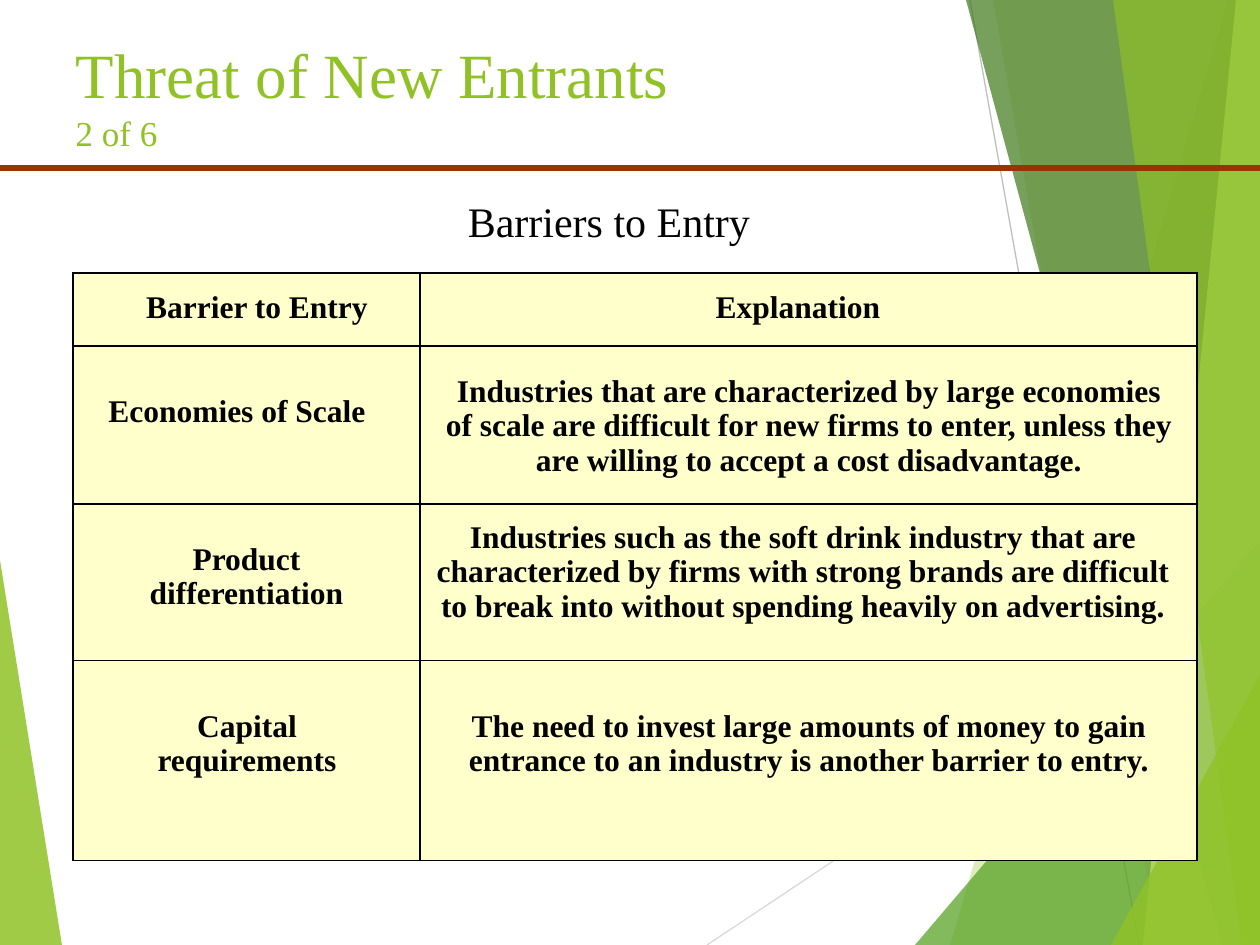
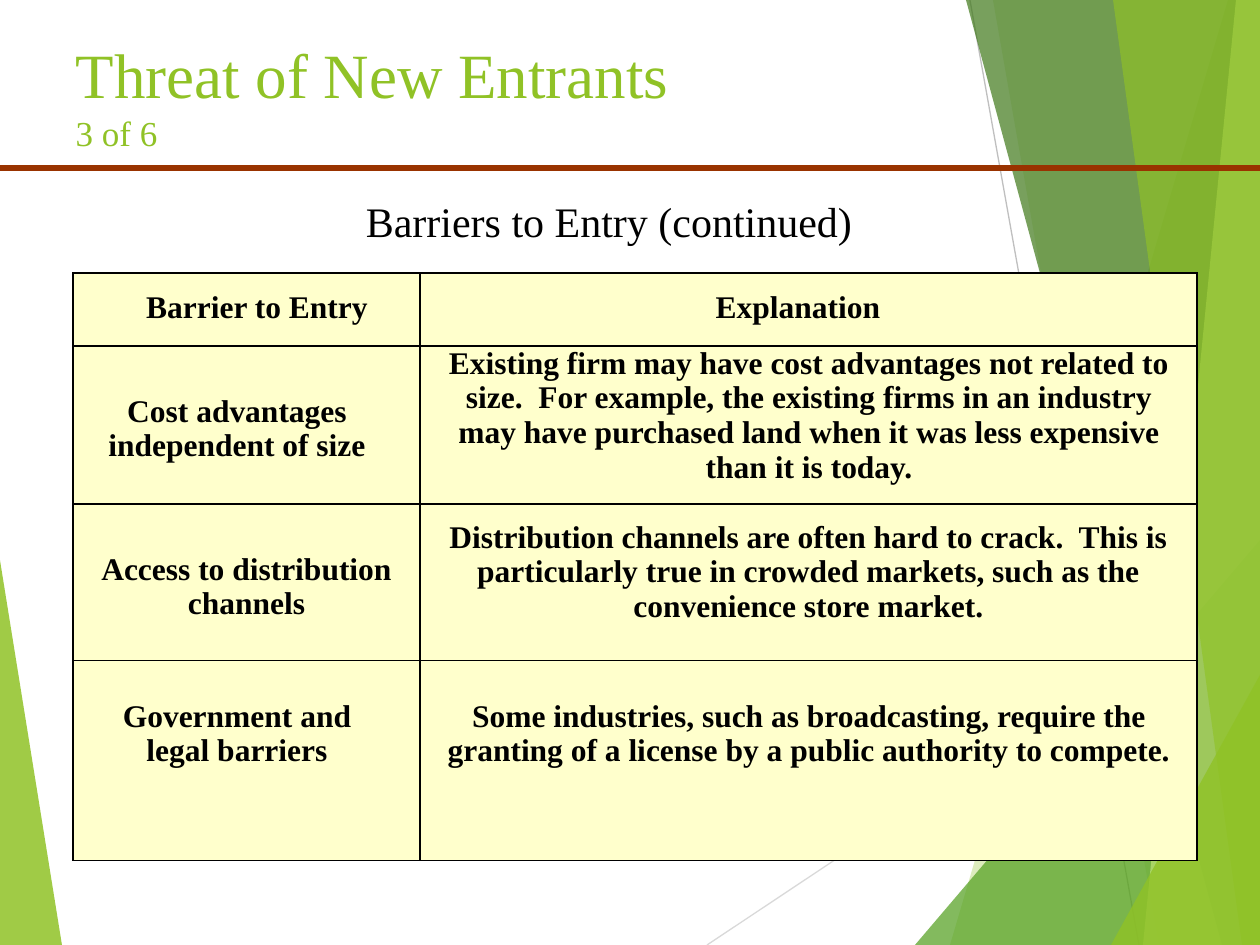
"""Build two slides on barriers to entry, with a shared faceted layout."""
from dataclasses import dataclass

from lxml import etree
from pptx import Presentation
from pptx import util as u
from pptx.dml.color import RGBColor
from pptx.enum import shapes, text
from pptx.oxml import ns

PX = u.Inches(1) / 126
WIDTH, HEIGHT = 1260, 945
FONT = "Times New Roman"
COLORS = {
    "green": "90C226", "leaf": "54A021", "forest": "3F7819", "lime": "C0E474",
    "pale": "D9D9D9", "gray": "BFBFBF", "rust": "993300",
    "cream": "FFFFCC", "black": "000000",
}
COLUMN_EDGES = (73, 420, 1197)
ROW_EDGES = (273, 346, 504, 661, 861)
INSET_X, INSET_Y = 13, 6


@dataclass(frozen=True)
class Rule:
    start: tuple[int, int]
    end: tuple[int, int]
    color: str
    points: float = 0.75


@dataclass(frozen=True)
class Facet:
    corners: tuple[tuple[int, int], ...]
    color: str
    opacity: int


@dataclass(frozen=True)
class Entry:
    words: str
    left: int
    top: int
    width: int


@dataclass(frozen=True)
class BarrierSlide:
    count: str
    heading: str
    rows: tuple[tuple[Entry, Entry], ...]


def band(top_x: int, bottom_x: int, color: str, opacity: int) -> Facet:
    """Return a full-height facet that reaches the right edge."""
    corners = ((top_x, 0), (bottom_x, HEIGHT), (WIDTH, HEIGHT), (WIDTH, 0))
    return Facet(corners, color, opacity)


def wedge(left: int, top: int, color: str, opacity: int) -> Facet:
    """Return a triangular facet in the lower right corner."""
    return Facet(((left, HEIGHT), (WIDTH, top), (WIDTH, HEIGHT)), color, opacity)


BACKDROP = (
    Facet(((0, 560), (62, HEIGHT), (0, HEIGHT)), "green", 85),
    Rule((707, HEIGHT), (WIDTH, 577), "pale"),
    Rule((970, 0), (1139, HEIGHT), "gray"),
    band(1228, 950, "green", 30),
    band(993, 1159, "green", 20),
    wedge(915, 540, "leaf", 72),
    band(966, 1222, "forest", 70),
    band(1236, 1143, "lime", 70),
    band(1113, 1242, "green", 65),
    wedge(1111, 675, "green", 80),
)
TITLE_RULE = Rule((0, 168), (WIDTH, 168), "rust", 3)
HEADER = (Entry("Barrier to Entry", 73, 284, 368), Entry("Explanation", 462, 284, 672))

SLIDES = (
    BarrierSlide("2 of 6", "Barriers to Entry", (
        (Entry("Economies of Scale", 53, 388, 368),
         Entry("Industries that are characterized by large economies of scale are "
               "difficult for new firms to enter, unless they are willing to accept "
               "a cost disadvantage.", 431, 368, 756)),
        (Entry("Product differentiation", 84, 536, 325),
         Entry("Industries such as the soft drink industry that are characterized by "
               "firms with strong brands are difficult to break into without spending "
               "heavily on advertising.", 420, 514, 766)),
        (Entry("Capital requirements", 105, 703, 284),
         Entry("The need to invest large amounts of money to gain entrance to an "
               "industry is another barrier to entry.", 431, 703, 756)),
    )),
    BarrierSlide("3 of 6", "Barriers to Entry (continued)", (
        (Entry("Cost advantages independent of size", 53, 388, 368),
         Entry("Existing firm may have cost advantages not related to size.  For "
               "example, the existing firms in an industry may have purchased land "
               "when it was less expensive than it is today.", 431, 336, 756)),
        (Entry("Access to distribution channels", 84, 546, 325),
         Entry("Distribution channels are often hard to crack.  This is particularly "
               "true in crowded markets, such as the convenience store market.",
               420, 514, 777)),
        (Entry("Government and legal barriers", 95, 693, 284),
         Entry("Some industries, such as broadcasting, require the granting of a "
               "license by a public authority to compete.", 431, 693, 756)),
    )),
)


def px(length: float) -> u.Emu:
    """Turn pixels into EMU."""
    return u.Emu(round(length * PX))


def rgb(name: str) -> RGBColor:
    """Look up a named colour."""
    return RGBColor.from_string(COLORS[name])


def style_font(font, size: int, color: str, bold: bool = False) -> None:
    """Set the face, size, colour and weight of a font."""
    font.name, font.size, font.bold = FONT, u.Pt(size), bold
    font.color.rgb = rgb(color)


def draw_rule(parent, rule: Rule) -> None:
    """Draw a straight line without a shadow."""
    line = parent.add_connector(shapes.MSO_CONNECTOR.STRAIGHT,
                                *map(px, rule.start + rule.end))
    line.line.color.rgb = rgb(rule.color)
    line.line.width = u.Pt(rule.points)
    etree.SubElement(line.element.spPr, ns.qn("a:effectLst"))


def draw_facet(parent, facet: Facet) -> None:
    """Draw a translucent polygon."""
    builder = parent.build_freeform(*facet.corners[0], scale=PX)
    builder.add_line_segments(facet.corners[1:], close=True)
    shape = builder.convert_to_shape()
    shape.shadow.inherit = False
    shape.fill.solid()
    shape.fill.fore_color.rgb = rgb(facet.color)
    shape.line.fill.background()
    color = shape.element.xpath("./p:spPr/a:solidFill/a:srgbClr")[0]
    etree.SubElement(color, ns.qn("a:alpha"), val=str(facet.opacity * 1000))


def add_backdrop(page, layout) -> None:
    """Assemble the backdrop as a group and hand it to the layout."""
    group = page.shapes.add_group_shape()
    for piece in BACKDROP:
        draw = draw_facet if isinstance(piece, Facet) else draw_rule
        draw(group.shapes, piece)
    for number, properties in enumerate(group.element.xpath(".//p:cNvPr"), 100):
        properties.set("id", str(number))
    layout.shapes.element.append(group.element)


def write_title(page, count: str) -> None:
    """Place and format the title with its slide count."""
    title = page.shapes.title
    title.left, title.top, title.width, title.height = map(px, (63, 21, 1134, 158))
    frame = title.text_frame
    frame.auto_size = text.MSO_AUTO_SIZE.NONE
    frame.vertical_anchor = text.MSO_ANCHOR.TOP
    frame.margin_top = px(15)
    para = frame.paragraphs[0]
    para.alignment = text.PP_ALIGN.LEFT
    span = para.add_run()
    span.text = "Threat of New Entrants"
    style_font(span.font, 36, "green")
    para.add_line_break()
    span = para.add_run()
    span.text = count
    style_font(span.font, 20, "green")


def write_heading(page, words: str) -> None:
    """Write the centred heading above the table."""
    box = page.shapes.add_textbox(*map(px, (273, 189, 672, 63)))
    box.text_frame.word_wrap = True
    para = box.text_frame.paragraphs[0]
    para.text = words
    para.alignment = text.PP_ALIGN.CENTER
    style_font(para.font, 24, "black")


def add_borders(cell) -> None:
    """Give a cell thin black borders."""
    properties = cell._tc.get_or_add_tcPr()
    for side in ("a:lnL", "a:lnR", "a:lnT", "a:lnB"):
        border = etree.SubElement(properties, ns.qn(side), w=str(u.Pt(0.75)))
        fill = etree.SubElement(border, ns.qn("a:solidFill"))
        etree.SubElement(fill, ns.qn("a:srgbClr"), val=COLORS["black"])


def fill_cell(cell, entry: Entry, left: int, right: int, top: int) -> None:
    """Write an entry, using margins to centre it on its own axis."""
    axis = entry.left + entry.width / 2
    reach = min(entry.width / 2 - INSET_X, axis - left, right - axis)
    cell.margin_left = px(axis - reach - left)
    cell.margin_right = px(right - axis - reach)
    cell.margin_top = px(max(0, entry.top + INSET_Y - top))
    cell.margin_bottom = 0
    cell.vertical_anchor = text.MSO_ANCHOR.TOP
    add_borders(cell)
    cell.fill.solid()
    cell.fill.fore_color.rgb = rgb("cream")
    para = cell.text_frame.paragraphs[0]
    para.text = entry.words
    para.alignment = text.PP_ALIGN.CENTER
    style_font(para.font, 18, "black", bold=True)


def add_barrier_table(page, rows: tuple[tuple[Entry, Entry], ...]) -> None:
    """Add the table of barriers and explanations."""
    left, top = COLUMN_EDGES[0], ROW_EDGES[0]
    size = (COLUMN_EDGES[-1] - left, ROW_EDGES[-1] - top)
    table = page.shapes.add_table(len(rows), len(COLUMN_EDGES) - 1,
                                  *map(px, (left, top, *size))).table
    table.first_row = table.horz_banding = False
    columns = list(zip(COLUMN_EDGES, COLUMN_EDGES[1:]))
    for column, (start, end) in zip(table.columns, columns):
        column.width = px(end - start)
    for index, entries in enumerate(rows):
        table.rows[index].height = px(ROW_EDGES[index + 1] - ROW_EDGES[index])
        for place, (entry, (start, end)) in enumerate(zip(entries, columns)):
            fill_cell(table.cell(index, place), entry, start, end, ROW_EDGES[index])


def main() -> None:
    """Build and save the deck."""
    deck = Presentation()
    deck.slide_width, deck.slide_height = px(WIDTH), px(HEIGHT)
    layout = deck.slide_layouts.get_by_name("Title Only")
    for number, content in enumerate(SLIDES):
        page = deck.slides.add_slide(layout)
        if number == 0:
            add_backdrop(page, layout)
        write_title(page, content.count)
        draw_rule(page.shapes, TITLE_RULE)
        write_heading(page, content.heading)
        add_barrier_table(page, (HEADER, *content.rows))
    deck.save("out.pptx")


if __name__ == "__main__":
    main()
